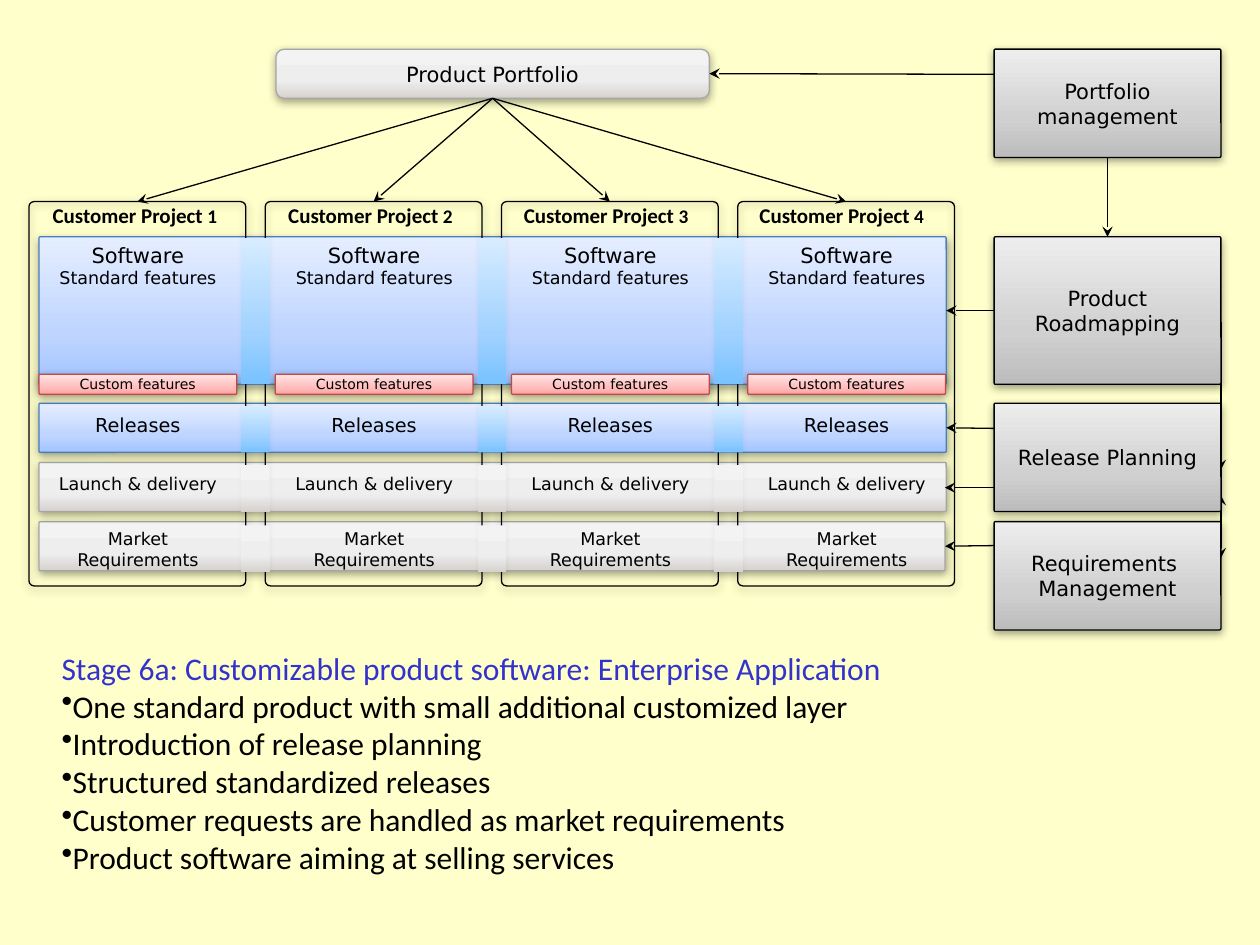
from copy import deepcopy

from lxml.etree import SubElement
from pptx import Presentation
from pptx.dml.color import RGBColor
from pptx.enum.shapes import MSO_CONNECTOR as CONN, MSO_SHAPE as SHAPE
from pptx.enum.text import MSO_ANCHOR as ANCHOR, PP_ALIGN as ALIGN
from pptx.oxml.ns import qn
from pptx.util import Inches, Pt

COLORS = {"page": "FFFFCC", "text": "000000", "title": "3333CC", "line": "000000",
          "blue_edge": "4A7EBB", "gray_edge": "A6A6A6", "red_edge": "BE4B48"}
GRADIENTS = {
    "blue": ("E5EEFF", "BFD5FF", "A3C4FF"),
    "bridge": ("D7ECFF", "A1D2FF", "78C2FF"),
    "gray": ("F3F3F3", "EEEEEE", "D6D1CE"),
    "red": ("FFE5E5", "FFBEBD", "FFA2A1"),
    "process": ("EDEDED", "D0D0D0", "BCBCBC"),
}
SANS, BODY = "DejaVu Sans", "Calibri"
LEFT, PITCH, COL_W, ROW_H = 0.31, 1.875, 1.57, 0.39
SOFTWARE_Y, RELEASE_Y, LAUNCH_Y, MARKET_Y = 1.88, 3.2, 3.67, 4.14
BULLETS = [
    "One standard product with small additional customized layer",
    "Introduction of release planning",
    "Structured standardized releases",
    "Customer requests are handled as market requirements",
    "Product software aiming at selling services",
]


def rgb(name):
    return RGBColor.from_string(COLORS[name])


def add_run(p, text, size, font=SANS, color="text", bold=False):
    r = p.add_run()
    r.text = text
    r.font.size, r.font.name, r.font.bold = Pt(size), font, bold
    r.font.color.rgb = rgb(color)


def set_gradient(sp, name):
    sp.fill.gradient()
    sp.fill.gradient_angle = 270
    stops = sp._element.spPr.find(".//" + qn("a:gsLst"))
    stops.insert(1, deepcopy(stops[0]))
    for stop, pos, color in zip(sp.fill.gradient_stops, (0, 0.65, 1), GRADIENTS[name]):
        stop.position = pos
        stop.color.rgb = RGBColor.from_string(color)


def add_shadow(sp):
    effects = sp._element.spPr.find(qn("a:effectLst"))
    shadow = SubElement(effects, qn("a:outerShdw"), blurRad="63500", dist="20320",
                        dir="5400000", rotWithShape="0")
    color = SubElement(shadow, qn("a:srgbClr"), val="000000")
    SubElement(color, qn("a:alpha"), val="37000")


def add_panel(s, x, y, w, h, gradient=None, edge=None, lines=(), radius=0.01,
              anchor=ANCHOR.MIDDLE, top=0.05, bottom=0.05):
    """Add a rounded panel; lines holds one (text, size) pair per paragraph."""
    sp = s.shapes.add_shape(SHAPE.ROUNDED_RECTANGLE, Inches(x), Inches(y), Inches(w), Inches(h))
    sp.adjustments[0] = radius / min(w, h)
    sp.shadow.inherit = False
    if gradient:
        set_gradient(sp, gradient)
    else:
        sp.fill.background()
    if edge:
        sp.line.color.rgb, sp.line.width = rgb(edge), Pt(0.75)
        add_shadow(sp)
    else:
        sp.line.fill.background()
    tf = sp.text_frame
    tf.word_wrap, tf.vertical_anchor = True, anchor
    tf.margin_top, tf.margin_bottom = Inches(top), Inches(bottom)
    for i, (text, size) in enumerate(lines):
        p = tf.add_paragraph() if i else tf.paragraphs[0]
        p.alignment = ALIGN.CENTER
        add_run(p, text, size)
    return sp


def add_label(s, x, y, h, *lines, top=0.08, bottom=0.05):
    add_panel(s, x, y, COL_W, h, lines=lines, anchor=ANCHOR.TOP, top=top, bottom=bottom)


def add_arrow(s, start, end, kind=CONN.STRAIGHT):
    c = s.shapes.add_connector(kind, *map(Inches, start + end))
    c.line.color.rgb, c.line.width = rgb("line"), Pt(0.75)
    SubElement(c.line._get_or_add_ln(), qn("a:tailEnd"), type="stealth")
    SubElement(c._element.spPr, qn("a:effectLst"))
    return c


def join(s, source, source_side, target, target_side):
    c = add_arrow(s, (0, 0), (1, 1))
    c.begin_connect(source, source_side)
    c.end_connect(target, target_side)


def add_textbox(s, x, y, w, h):
    tf = s.shapes.add_textbox(Inches(x), Inches(y), Inches(w), Inches(h)).text_frame
    tf.word_wrap = True
    return tf


def add_project(s, i, portfolio):
    """Add one customer project column with its frame, labels and arrow."""
    x = LEFT + PITCH * i
    frame = add_panel(s, x - 0.08, 1.6, 1.72, 3.05, edge="line", radius=0.04)
    join(s, portfolio, 2, frame, 0)
    p = add_textbox(s, LEFT + 1.87 * i, 1.56, 1.52, 0.3).paragraphs[0]
    p.alignment = ALIGN.CENTER
    add_run(p, "Customer Project", 12, BODY, bold=True)
    add_run(p, f" {i + 1}", 11, BODY, bold=True)
    add_label(s, x, 1.87, 1.25, ("Software", 12), ("Standard features", 10), top=0.05)
    add_panel(s, x, 2.97, COL_W, 0.16, "red", "red_edge", [("Custom features", 8)])
    add_label(s, x, RELEASE_Y, ROW_H, ("Releases", 11))
    add_label(s, x, LAUNCH_Y, ROW_H, ("Launch & delivery", 10))


def add_bridges(s):
    rows = [(SOFTWARE_Y, 1.16, "bridge"), (RELEASE_Y + 0.01, 0.37, "bridge"),
            (LAUNCH_Y + 0.01, 0.37, "gray"), (MARKET_Y + 0.02, 0.37, "gray")]
    for y, h, gradient in rows:
        for i in range(3):
            add_panel(s, 1.91 + 1.88 * i, y + 0.01, 0.23, h, gradient)


def add_process(s, y, h, *texts):
    return add_panel(s, 7.89, y, 1.8, h, "process", "line", [(t, 12) for t in texts])


def add_processes(s, portfolio, software, releases, market):
    """Add the management processes on the right and their arrows."""
    for y1, y2 in ((2.56, 4.43), (2.56, 3.73), (4.32, 3.93)):
        add_arrow(s, (9.69, y1), (9.69, y2), CONN.ELBOW)
    add_arrow(s, (8.36, 3.57), (7.5, 3.87), CONN.ELBOW)
    roadmap = add_process(s, SOFTWARE_Y, 1.17, "Product Roadmapping")
    add_process(s, RELEASE_Y, 0.86, "Release Planning")
    add_process(s, MARKET_Y, 0.86, "Requirements ", "Management")
    management = add_process(s, 0.39, 0.86, "Portfolio management")
    join(s, management, 2, roadmap, 0)
    join(s, roadmap, 1, software, 3)
    add_arrow(s, (7.89, 0.59), (5.63, 0.59)).end_connect(portfolio, 3)
    add_arrow(s, (7.89, 3.4), (7.51, 3.4)).end_connect(releases, 3)
    add_arrow(s, (7.89, 4.33), (7.5, 4.33)).end_connect(market, 3)


def add_summary(s):
    tf = add_textbox(s, 0.39, 5.1, 7.34, 1.92)
    add_run(tf.paragraphs[0], "Stage 6a: Customizable product software: Enterprise Application",
            18, BODY, "title")
    for text in BULLETS:
        p = tf.add_paragraph()
        ppr = p._p.get_or_add_pPr()
        SubElement(SubElement(ppr, qn("a:buClr")), qn("a:srgbClr"), val=COLORS["text"])
        SubElement(ppr, qn("a:buChar"), char="•")
        add_run(p, text, 18, BODY)


def main():
    prs = Presentation()
    prs.slide_width, prs.slide_height = Inches(10), Inches(7.5)
    s = prs.slides.add_slide(prs.slide_layouts[6])
    s.background.fill.solid()
    s.background.fill.fore_color.rgb = rgb("page")
    market = add_panel(s, LEFT, MARKET_Y, 7.19, ROW_H, "gray", "gray_edge")
    add_panel(s, LEFT, LAUNCH_Y, 7.2, ROW_H, "gray", "gray_edge")
    software = add_panel(s, LEFT, SOFTWARE_Y, 7.2, 1.17, "blue", "blue_edge")
    releases = add_panel(s, LEFT, RELEASE_Y, 7.2, ROW_H, "blue", "blue_edge")
    portfolio = add_panel(s, 2.19, 0.39, 3.44, ROW_H, "gray", "gray_edge",
                          [("Product Portfolio", 12)], radius=0.065)
    for i in range(4):
        add_project(s, i, portfolio)
    add_bridges(s)
    add_processes(s, portfolio, software, releases, market)
    for i in range(4):
        add_label(s, LEFT + PITCH * i, MARKET_Y + 0.01, ROW_H, ("Market Requirements", 10),
                  top=0.04, bottom=0.12)
    add_summary(s)
    prs.save("out.pptx")


if __name__ == "__main__":
    main()
